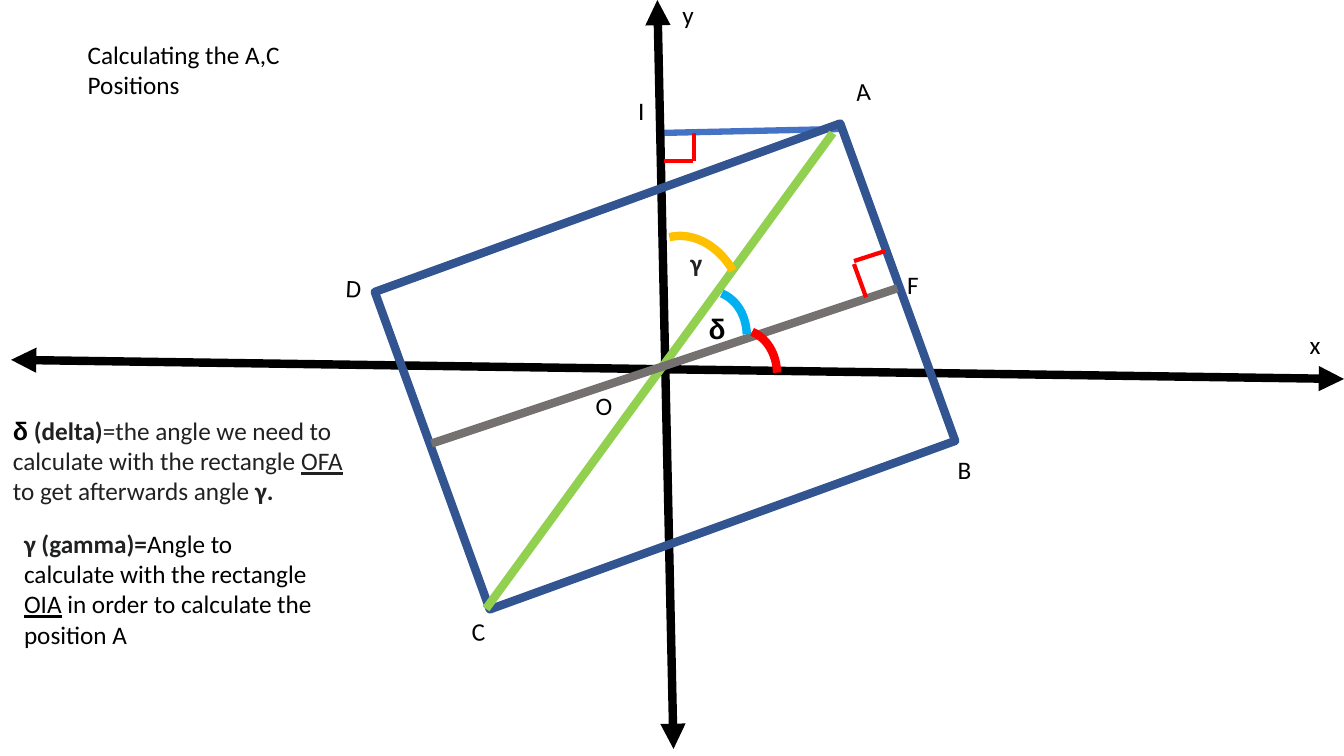
from dataclasses import dataclass

from lxml.etree import SubElement
from pptx import Presentation
from pptx.dml.color import RGBColor
from pptx.enum.shapes import MSO_CONNECTOR as Connector, MSO_SHAPE as Shape
from pptx.enum.text import MSO_ANCHOR as Anchor, MSO_AUTO_SIZE as AutoSize, PP_ALIGN as Align
from pptx.oxml.ns import qn
from pptx.util import Inches, Pt


# Theme
@dataclass(frozen=True)
class Theme:
    font: str = "Calibri"
    symbol_font: str = "Arial"
    black: str = "000000"
    ink: str = "202122"
    rectangle: str = "325491"
    top_edge: str = "4472C4"
    diagonal: str = "92D050"
    midline: str = "767171"
    red: str = "FF0000"
    gamma: str = "FFC000"
    delta: str = "00B0F0"
    text_size: float = 18
    symbol_size: float = 20
    thick: float = 6
    medium: float = 4.5
    thin: float = 3


THEME = Theme()


@dataclass(frozen=True)
class Segment:
    start: tuple[float, float]
    end: tuple[float, float]
    color: str
    width: float = THEME.thick
    arrows: bool = False


@dataclass(frozen=True)
class AngleArc:
    box: tuple[float, float, float, float]
    rotation: float
    start: float
    end: float
    color: str


@dataclass(frozen=True)
class Run:
    text: str
    color: str = THEME.black
    bold: bool = False
    underline: bool = False
    font: str = THEME.font
    size: float = THEME.text_size


@dataclass(frozen=True)
class Label:
    box: tuple[float, float, float, float]
    runs: tuple[Run, ...]
    rotation: float = 0


# Slide content, back to front
TOP_EDGE = Segment((8.32, 1.28), (6.52, 1.32), THEME.top_edge, THEME.medium)
AXES = (
    Segment((0.11, 3.57), (13.33, 3.76), THEME.black, arrows=True),
    Segment((6.68, 7.43), (6.52, 0), THEME.black, arrows=True),
)
RECTANGLE_BOX = (4.14, 1.96, 4.91, 3.35)
RECTANGLE_ROTATION = 160.1
INNER_LINES = (
    Segment((4.82, 6.04), (8.26, 1.32), THEME.diagonal),
    Segment((4.28, 4.4), (8.9, 2.86), THEME.midline),
)
ARCS = (
    AngleArc((6.87, 3.26, 0.83, 1.02), 15.4, 274.71, 334.83, THEME.red),
    AngleArc((6.26, 2.33, 1.11, 1.39), 343.2, 272.1, 340.07, THEME.gamma),
    AngleArc((6.57, 2.88, 0.83, 1.02), 15.4, 274.71, 334.83, THEME.delta),
)
RIGHT_ANGLES = tuple(
    Segment(start, end, THEME.red, THEME.thin)
    for start, end in (
        ((6.59, 1.6), (6.87, 1.6)),
        ((6.88, 1.6), (6.88, 1.32)),
        ((8.59, 2.95), (8.47, 2.62)),
        ((8.47, 2.59), (8.78, 2.49)),
    )
)
TITLE = Label((0.77, 0.34, 2.24, 0.71), (Run("Calculating the A,C Positions"),))
LABELS = (
    Label((6.67, -0.06, 0.39, 0.4), (Run("y"),)),
    Label((12.89, 3.22, 0.39, 0.4), (Run("x"),)),
    Label((8.39, 0.7, 0.49, 0.46), (Run("A"),), 355),
    Label((9.4, 4.46, 0.49, 0.46), (Run("B"),), 0.1),
    Label((4.58, 6.06, 0.49, 0.46), (Run("C"),), 357.2),
    Label((3.33, 2.66, 0.49, 0.46), (Run("D"),), 3),
    Label((5.81, 3.82, 0.4, 0.46), (Run("O"),), 0.1),
    Label((8.9, 2.62, 0.33, 0.42), (Run("F"),)),
    Label((6.23, 0.9, 0.33, 0.42), (Run("I"),)),
    Label((6.75, 2.4, 0.31, 0.4), (Run("γ", THEME.ink, bold=True),)),
    Label((6.93, 3.04, 0.38, 0.44),
          (Run("δ", bold=True, font=THEME.symbol_font, size=THEME.symbol_size),)),
    Label((0.14, 5.19, 3.2, 1.31), (
        Run("γ (gamma)=", THEME.ink, bold=True),
        Run("Angle to calculate with the rectangle "),
        Run("OIA", underline=True),
        Run(" in order to calculate the position A"),
    )),
    Label((0.03, 4.07, 3.57, 1.01), (
        Run("δ", bold=True, font=THEME.symbol_font),
        Run(" (delta)", THEME.ink, bold=True),
        Run("=the angle we need to calculate with the rectangle ", THEME.ink),
        Run("OFA", THEME.ink, underline=True),
        Run(" to get afterwards angle ", THEME.ink),
        Run("γ.", THEME.ink, bold=True),
    )),
)


# Drawing functions
def add_run(paragraph, text: str, *, color: str, bold: bool, underline: bool,
            font: str, size: float) -> None:
    run = paragraph.add_run()
    run.text = text
    run.font.name = font
    run.font.size = Pt(size)
    run.font.bold = bold
    run.font.underline = underline
    run.font.color.rgb = RGBColor.from_string(color)


def fill_label(shape, label: Label) -> None:
    shape.left, shape.top, shape.width, shape.height = map(Inches, label.box)
    shape.rotation = label.rotation
    frame = shape.text_frame
    frame.word_wrap = True
    frame.auto_size = AutoSize.SHAPE_TO_FIT_TEXT
    frame.vertical_anchor = Anchor.TOP
    paragraph = frame.paragraphs[0]
    paragraph.alignment = Align.LEFT
    for run in label.runs:
        add_run(paragraph, run.text, color=run.color, bold=run.bold,
                underline=run.underline, font=run.font, size=run.size)


def style_line(line, color: str, width: float) -> None:
    line.color.rgb = RGBColor.from_string(color)
    line.width = Pt(width)


def add_segment(slide, segment: Segment) -> None:
    points = map(Inches, segment.start + segment.end)
    connector = slide.shapes.add_connector(Connector.STRAIGHT, *points)
    style_line(connector.line, segment.color, segment.width)
    properties = connector._element.spPr
    if segment.arrows:
        outline = properties.find(qn("a:ln"))
        for end in ("a:headEnd", "a:tailEnd"):
            SubElement(outline, qn(end), type="triangle")
    SubElement(properties, qn("a:effectLst"))


def add_outline(slide, kind: Shape, box: tuple[float, float, float, float],
                rotation: float, color: str):
    shape = slide.shapes.add_shape(kind, *map(Inches, box))
    shape.rotation = rotation
    shape.shadow.inherit = False
    shape.fill.background()
    style_line(shape.line, color, THEME.thick)
    return shape


def add_arc(slide, arc: AngleArc) -> None:
    shape = add_outline(slide, Shape.ARC, arc.box, arc.rotation, arc.color)
    # Adjustments count 100000 units; a degree is 60000 units
    shape.adjustments[0] = arc.start * 0.6
    shape.adjustments[1] = arc.end * 0.6


def main() -> None:
    presentation = Presentation()
    presentation.slide_width, presentation.slide_height = Inches(13.33), Inches(7.5)
    slide = presentation.slides.add_slide(presentation.slide_layouts[5])
    fill_label(slide.shapes.title, TITLE)

    # Axes, rectangle and the lines inside it
    for segment in (TOP_EDGE, *AXES):
        add_segment(slide, segment)
    add_outline(slide, Shape.RECTANGLE, RECTANGLE_BOX, RECTANGLE_ROTATION, THEME.rectangle)
    for segment in INNER_LINES:
        add_segment(slide, segment)

    # Angles
    for arc in ARCS:
        add_arc(slide, arc)
    for segment in RIGHT_ANGLES:
        add_segment(slide, segment)

    # Point names and explanations
    for label in LABELS:
        fill_label(slide.shapes.add_textbox(*map(Inches, label.box)), label)
    presentation.save("out.pptx")


if __name__ == "__main__":
    main()
